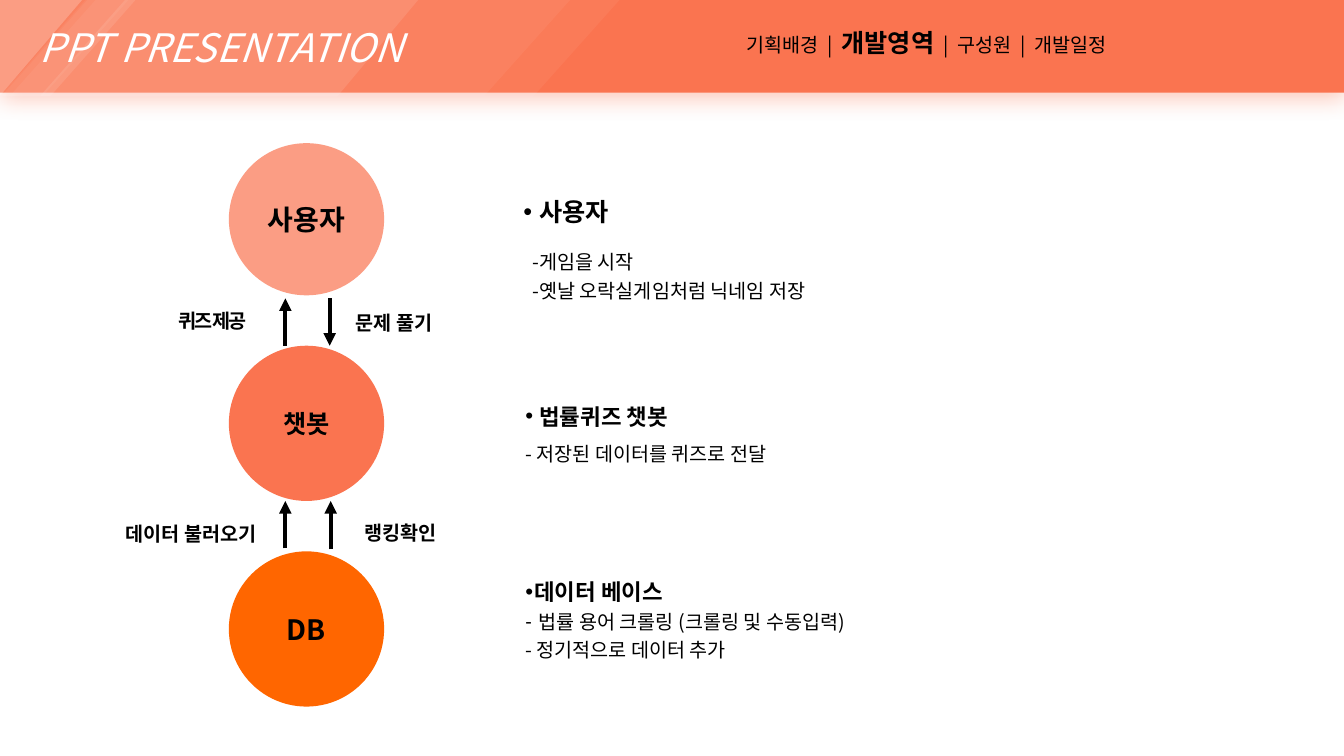
from lxml.etree import SubElement
from pptx import Presentation
from pptx.dml.color import RGBColor
from pptx.enum.shapes import MSO_CONNECTOR as Connector, MSO_SHAPE as Preset
from pptx.enum.text import MSO_ANCHOR as Anchor, MSO_AUTO_SIZE as AutoSize, PP_ALIGN as Align
from pptx.oxml.ns import qn
from pptx.util import Inches, Pt

FONT = "Noto Sans CJK KR"
BLACK, WHITE, CORAL = "000000", "FFFFFF", "FA7450"
PLAIN = {"size": Pt(14), "bold": False}
BOLD = {"size": Pt(14), "bold": True}
DOT, DASH = "•", "-"


def color(value):
    return RGBColor.from_string(value)


def apply(target, values):
    for name, value in values.items():
        setattr(target, name, value)


def place(shape, left, top, width, height):
    apply(shape, {"left": Inches(left), "top": Inches(top),
                  "width": Inches(width), "height": Inches(height)})


def paint(shape, fill, alpha=100):
    shape.shadow.inherit = False
    shape.fill.solid()
    shape.fill.fore_color.rgb = color(fill)
    shape.line.fill.background()
    if alpha < 100:
        shade = shape._element.spPr.find(qn("a:solidFill"))[0]
        SubElement(shade, qn("a:alpha"), val=str(alpha * 1000))


def add_span(para, text, values, ink=BLACK):
    span = para.add_run()
    span.text = text
    apply(span.font, {"name": FONT, **values})
    span.font.color.rgb = color(ink)
    SubElement(span._r.get_or_add_rPr(), qn("a:ea"), typeface=FONT)
    return span


def format_frame(shape, anchor):
    apply(shape.text_frame, {"word_wrap": True, "auto_size": AutoSize.NONE,
                             "vertical_anchor": anchor})
    return shape.text_frame


def set_indent(para, margin, hang, bullet=None):
    props = para._p.get_or_add_pPr()
    props.set("marL", str(Inches(margin)))
    props.set("indent", str(Inches(-hang)))
    if bullet:
        SubElement(props, qn("a:buFont"), typeface="Arial")
        SubElement(props, qn("a:buChar"), char=bullet)
    else:
        SubElement(props, qn("a:buNone"))


def add_banner(title):
    place(title, 0, 0, 13.33, 0.92)
    paint(title, CORAL)
    effects = title._element.spPr.find(qn("a:effectLst"))
    shadow = SubElement(effects, qn("a:outerShdw"), blurRad=str(Pt(17)), dist=str(Pt(3)),
                        dir="5400000", algn="t", rotWithShape="0")
    shade = SubElement(shadow, qn("a:srgbClr"), val=CORAL)
    SubElement(shade, qn("a:alpha"), val="40000")
    para = format_frame(title, Anchor.MIDDLE).paragraphs[0]
    para.alignment = Align.LEFT
    set_indent(para, 0.29, 0)
    add_span(para, "PPT PRESENTATION", {"size": Pt(28), "bold": False, "italic": True}, WHITE)


def add_sheen(page, preset, area, alpha, flip=None, rotation=0):
    sheen = page.shapes.add_shape(preset, *map(Inches, area))
    paint(sheen, WHITE, alpha)
    sheen.rotation = rotation
    if flip:
        sheen._element.spPr.find(qn("a:xfrm")).set(flip, "1")
    if preset == Preset.PARALLELOGRAM:
        sheen.adjustments[0] = 0.893


def add_text(page, area, spans, alignment=Align.LEFT, spacing=1.0):
    box = page.shapes.add_textbox(*map(Inches, area))
    para = format_frame(box, Anchor.TOP).paragraphs[0]
    apply(para, {"alignment": alignment, "line_spacing": spacing})
    return [add_span(para, text, values) for text, values in spans]


def add_circle(page, text, top, height, fill, size):
    circle = page.shapes.add_shape(Preset.OVAL, *map(Inches, (2.27, top, 1.54, height)))
    paint(circle, fill)
    para = format_frame(circle, Anchor.MIDDLE).paragraphs[0]
    para.alignment = Align.CENTER
    add_span(para, text, {"size": Pt(size), "bold": True})


def add_arrow(page, x, start, end):
    arrow = page.shapes.add_connector(Connector.STRAIGHT, *map(Inches, (x, start, x, end)))
    arrow.line.color.rgb = color(BLACK)
    arrow.line.width = Pt(3)
    SubElement(arrow.line._get_or_add_ln(), qn("a:tailEnd"), type="triangle")
    SubElement(arrow._element.spPr, qn("a:effectLst"))


def fill_list(body, area, rows):
    place(body, *area)
    frame = format_frame(body, Anchor.TOP)
    for number, (text, values, spacing, margin, hang, bullet) in enumerate(rows):
        para = frame.add_paragraph() if number else frame.paragraphs[0]
        apply(para, {"line_spacing": spacing, "space_before": Pt(0), "alignment": Align.LEFT})
        set_indent(para, margin, hang, bullet)
        add_span(para, text, values)


def main():
    deck = Presentation()
    apply(deck, {"slide_width": Inches(13.33), "slide_height": Inches(7.5)})
    page = deck.slides.add_slide(deck.slide_layouts.get_by_name("Comparison"))
    title, *bodies = page.placeholders
    spare = bodies.pop()._element
    spare.getparent().remove(spare)

    add_banner(title)
    add_sheen(page, Preset.FLOWCHART_MANUAL_INPUT, (1.59, -1.64, 1, 4.19), 10, "flipH", 90)
    add_sheen(page, Preset.PARALLELOGRAM, (0, -0.04, 6.18, 1.01), 5)
    add_sheen(page, Preset.PARALLELOGRAM, (0, -0.03, 5.68, 0.98), 5)
    add_sheen(page, Preset.RIGHT_TRIANGLE, (0, -0.03, 0.84, 0.98), 22, "flipV")
    add_sheen(page, Preset.PARALLELOGRAM, (0.1, -0.03, 1.2, 0.98), 5)
    add_sheen(page, Preset.PARALLELOGRAM, (0.4, -0.03, 0.97, 0.98), 10)
    add_text(page, (6.77, 0.22, 4.35, 0.4),
             [("기획배경  |  ", PLAIN), ("개발영역", {"size": Pt(18), "bold": True}),
              ("  |  구성원  |  개발일정 ", PLAIN)], Align.RIGHT)

    for circle in (("사용자", 1.42, 1.51, "FB9D84", 20), ("챗봇", 3.43, 1.54, CORAL, 18),
                   ("DB", 5.47, 1.54, "FF6600", 20)):
        add_circle(page, *circle)
    for arrow in ((3.27, 2.96, 3.43), (2.83, 3.43, 2.96), (3.28, 5.45, 4.97), (2.83, 5.44, 4.97)):
        add_arrow(page, *arrow)
    for text, left, top, width, tracking in (
            ("퀴즈 제공", 1.67, 2.97, 1.04, -150), ("문제 풀기", 3.43, 2.99, 1.54, 0),
            ("데이터 불러오기", 1.15, 5.08, 1.74, 0), ("랭킹확인", 3.52, 5.07, 1.04, 0)):
        span, = add_text(page, (left, top, width, 0.35), [(text, BOLD)], spacing=1.2)
        span._r.get_or_add_rPr().set("spc", str(tracking))

    heading = {"size": Pt(16), "bold": True}
    lists = (
        ((5.09, 1.75, 5.58, 1.28), (
            (" 사용자", {"size": Pt(18), "bold": True}, 1.5, 0.1, 0.1, DOT),
            ("-게임을 시작", PLAIN, 2.0, 0.09, 0, None),
            ("-옛날 오락실게임처럼 닉네임 저장", PLAIN, 1.2, 0.09, 0, None))),
        ((5.11, 3.68, 5.59, 0.95), (
            (" 법률퀴즈 챗봇", heading, 2.0, 0.09, 0.09, DOT),
            ("- 저장된 데이터를 퀴즈로 전달", PLAIN, 1.5, 0.09, 0.09, None))),
        ((5.11, 5.42, 5.58, 1.18), (
            ("데이터 베이스", heading, 2.0, 0.09, 0.09, DOT),
            (" 법률 용어 크롤링 (크롤링 및 수동입력)", PLAIN, 1.2, 0.09, 0.09, DASH),
            ("- 정기적으로 데이터 추가", PLAIN, 1.2, 0, 0, None))))
    for body, (area, rows) in zip(bodies, lists):
        fill_list(body, area, rows)

    deck.save("out.pptx")


main()
